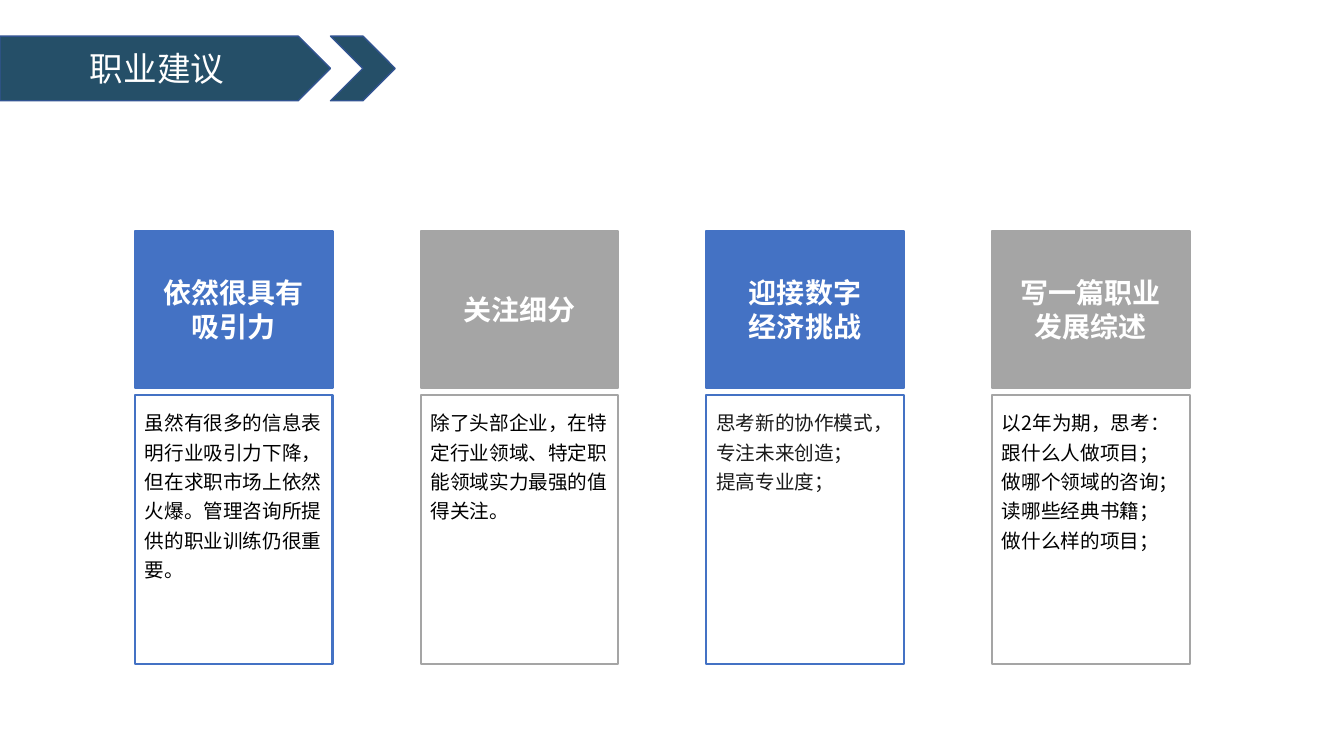
from lxml import etree
from pptx import Presentation
from pptx import util as u
from pptx.dml.color import RGBColor
from pptx.enum import shapes, text
from pptx.oxml.ns import qn

Cm, Pt = u.Cm, u.Pt
COLORS = {"banner": "254F68", "banner_edge": "325491", "blue": "4472C4", "gray": "A5A5A5",
          "white": "FFFFFF", "black": "000000", "charcoal": "1A1A1A"}


class Deck:
    font = "Noto Sans CJK SC"

    def __init__(self, presentation):
        self.slide = presentation.slides.add_slide(presentation.slide_layouts[5])

    def color(self, name):
        return RGBColor.from_string(COLORS[name])

    def shape(self, kind, box, fill, edge, weight):
        shape = self.slide.shapes.add_shape(kind, *map(Cm, box))
        shape.shadow.inherit = False
        if fill:
            shape.fill.solid()
            shape.fill.fore_color.rgb = self.color(fill)
        else:
            shape.fill.background()
        shape.line.color.rgb = self.color(edge)
        shape.line.width = Pt(weight)
        return shape

    def label(self, shape, words, size, color, bold=False, align=text.PP_ALIGN.CENTER,
              anchor=text.MSO_ANCHOR.MIDDLE, insets=(0.13,) * 4, spacing=1.0):
        frame = shape.text_frame
        frame.text = words
        frame.word_wrap = True
        frame.auto_size = text.MSO_AUTO_SIZE.NONE
        frame.vertical_anchor = anchor
        (frame.margin_left, frame.margin_top,
         frame.margin_right, frame.margin_bottom) = map(Cm, insets)
        for paragraph in frame.paragraphs:
            paragraph.alignment = align
            paragraph.line_spacing = spacing
            for run in paragraph.runs:
                run.font.size, run.font.bold = Pt(size), bold
                run.font.color.rgb = self.color(color)
                run.font.name = self.font
                # East Asian typeface
                etree.SubElement(run.font._element, qn("a:ea"), typeface=self.font)

    def title(self, words, box):
        title = self.slide.shapes.title
        title.left, title.top, title.width, title.height = map(Cm, box)
        # Bring the title in front of its banner
        self.slide.shapes._spTree.append(title._element)
        self.label(title, words, 24, "white")

    def card(self, left, heading, advice, accent, ink):
        head = self.shape(shapes.MSO_SHAPE.RECTANGLE, (left, 5.82, 4.98, 3.96),
                          accent, accent, 1.5)
        self.label(head, heading, 20, "white", bold=True)
        body = self.shape(shapes.MSO_SHAPE.RECTANGLE, (left, 9.96, 4.98, 6.77),
                          None, accent, 1.5)
        self.label(body, advice, 14, ink, align=text.PP_ALIGN.LEFT,
                   anchor=text.MSO_ANCHOR.TOP, insets=(0.25, 0.25, 0.25, 0.13), spacing=1.25)


presentation = Presentation()
presentation.slide_width, presentation.slide_height = Cm(33.87), Cm(19.05)
deck = Deck(presentation)

# Title banner
banner_top, banner_height, banner_width = 0.91, 1.63, 8.33
for kind, left, width in ((shapes.MSO_SHAPE.PENTAGON, 0, banner_width),
                          (shapes.MSO_SHAPE.CHEVRON, banner_width, banner_height)):
    deck.shape(kind, (left, banner_top, width, banner_height), "banner", "banner_edge", 1)
deck.title("职业建议", (0, banner_top, banner_width - banner_height / 4, banner_height))

# Advice cards
cards = [
    ("依然很具有\n吸引力",
     "虽然有很多的信息表明行业吸引力下降，但在求职市场上依然火爆。管理咨询所提供的职业训练仍很重要。",
     "blue", "black"),
    ("关注细分",
     "除了头部企业，在特定行业领域、特定职能领域实力最强的值得关注。",
     "gray", "black"),
    ("迎接数字\n经济挑战",
     "思考新的协作模式，专注未来创造；\n提高专业度；",
     "blue", "charcoal"),
    ("写一篇职业\n发展综述",
     "以2年为期，思考：\n跟什么人做项目；\n做哪个领域的咨询；\n读哪些经典书籍；\n做什么样的项目；",
     "gray", "black"),
]
first_left, pitch = 3.4, 7.2
for index, card in enumerate(cards):
    deck.card(first_left + index * pitch, *card)

presentation.save("out.pptx")
